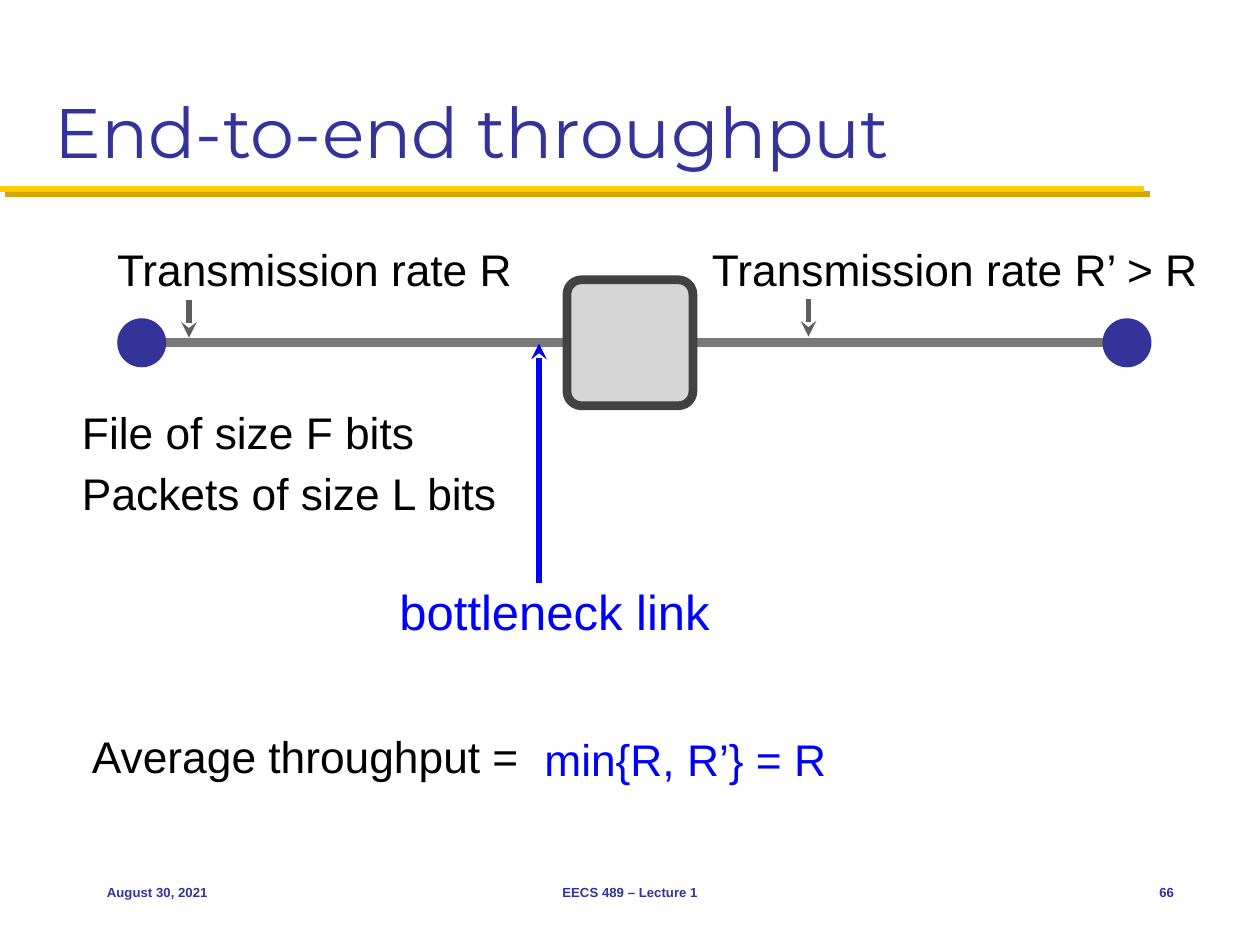
from lxml import etree
from pptx import Presentation
from pptx.dml.color import RGBColor
from pptx.enum.shapes import MSO_CONNECTOR, MSO_SHAPE
from pptx.enum.text import MSO_ANCHOR, PP_ALIGN
from pptx.oxml.ns import qn
from pptx.util import Pt

LINE = MSO_CONNECTOR.STRAIGHT
OVAL, ROUND = MSO_SHAPE.OVAL, MSO_SHAPE.ROUNDED_RECTANGLE
MIDDLE, BOTTOM = MSO_ANCHOR.MIDDLE, MSO_ANCHOR.BOTTOM
LEFT, CENTER, RIGHT = PP_ALIGN.LEFT, PP_ALIGN.CENTER, PP_ALIGN.RIGHT
NAVY, BLUE, BLACK, GOLD = "333399", "0000FF", "000000", "FFCB05"
BODY = 25.3


def color(text):
    return RGBColor.from_string(text)


def add_text(slide, box, text, size=BODY, ink=BLACK, face="Arial", bold=False,
             align=LEFT, anchor=MIDDLE, pad=(2.9, 2.9)):
    shape = slide.shapes.add_textbox(*map(Pt, box))
    frame = shape.text_frame
    side, edge = map(Pt, pad)
    form = dict(word_wrap=True, vertical_anchor=anchor, margin_left=side,
                margin_right=side, margin_top=edge, margin_bottom=edge)
    for name, value in form.items():
        setattr(frame, name, value)
    para = frame.paragraphs[0]
    para.alignment = align
    run = para.add_run()
    run.text = text
    for name, value in dict(name=face, size=Pt(size), bold=bold).items():
        setattr(run.font, name, value)
    run.font.color.rgb = color(ink)


def add_line(slide, start, end, ink, width, arrow=False):
    """Draw a line, with its arrowhead at the start, and return its effect list."""
    line = slide.shapes.add_connector(LINE, *map(Pt, (*start, *end)))
    line.line.color.rgb = color(ink)
    line.line.width = Pt(width)
    if arrow:
        etree.SubElement(line.line._get_or_add_ln(), qn("a:headEnd"), type="stealth")
    return etree.SubElement(line._element.spPr, qn("a:effectLst"))


def add_shape(slide, kind, box, fill, edge=None, width=0):
    shape = slide.shapes.add_shape(kind, *map(Pt, box))
    shape.shadow.inherit = False
    shape.fill.solid()
    shape.fill.fore_color.rgb = color(fill)
    if edge:
        shape.line.color.rgb = color(edge)
        shape.line.width = Pt(width)
    else:
        shape.line.fill.background()
    return shape


def add_header(slide, box):
    x, y, w, h = box
    effect = add_line(slide, (x, y + h), (x + w, y + h), GOLD, 3.5)
    shade = etree.SubElement(effect, qn("a:outerShdw"), dist=str(Pt(4.2)),
                             dir="2700000", algn="ctr", rotWithShape="0")
    etree.SubElement(shade, qn("a:srgbClr"), val="D3A600")
    add_text(slide, (x + 24, y, 672, h - 6), "End-to-end throughput", 40, NAVY,
             "Montserrat", anchor=BOTTOM, pad=(7.2, 3.6))


def add_network(slide, box):
    x, y, w, h = box
    node, router = 28, 72
    mid = y + 60.5
    add_line(slide, (x + node / 2, mid), (x + w - node / 2, mid), "797979", 5)
    for left in (x, x + w - node):
        add_shape(slide, OVAL, (left, mid - node / 2, node, node), NAVY)
    hub = add_shape(slide, ROUND, (x + 257, mid - router / 2, router, router),
                    "D6D6D6", "424242", 5)
    hub.adjustments[0] = 0.115

    labels = [(-3, 0, 236, "Transmission rate R"),
              (337, 0, 304, "Transmission rate R’ > R"),
              (-23, 93.6, 241, "File of size F bits"),
              (-23, 128, 269, "Packets of size L bits")]
    for left, top, wide, text in labels:
        add_text(slide, (x + left, y + top, wide, 36), text)
    for left, tip in ((41, 57.5), (395, 57)):
        add_line(slide, (x + left, y + tip), (x + left, y + tip - 21.6),
                 "5E5E5E", 3, True)

    add_text(slide, (x + 157, y + h - 42, 324, 42), "bottleneck link", 28, BLUE,
             pad=(4.3, 4.3))
    add_line(slide, (x + 241, mid + 0.5), (x + 241, y + h - 37), BLUE, 3, True)


def add_result(slide, box):
    x, y, w, h = box
    add_text(slide, (x, y, 352, h), "Average throughput =")
    add_text(slide, (x + w - 172, y + 1.4, 172, h), "min{R, R’} = R", ink=BLUE)


def add_footer(slide, box):
    x, y, w, h = box
    parts = [(0, 150, "August 30, 2021", LEFT),
             (192, 228, "EECS 489 – Lecture 1", CENTER),
             (w - 48, 48, "66", RIGHT)]
    for left, wide, text, align in parts:
        add_text(slide, (x + left, y, wide, h), text, 7.5, NAVY, bold=True,
                 align=align, pad=(7.2, 3.6))


def main():
    deck = Presentation()
    deck.slide_width, deck.slide_height = Pt(720), Pt(540)
    slide = deck.slides.add_slide(deck.slide_layouts[6])
    add_header(slide, (0, 12, 654, 96))
    add_network(slide, (67, 135.4, 591, 235))
    add_result(slide, (49.7, 414, 430.5, 36))
    add_footer(slide, (54, 492, 624, 36))
    deck.save("out.pptx")


if __name__ == "__main__":
    main()
